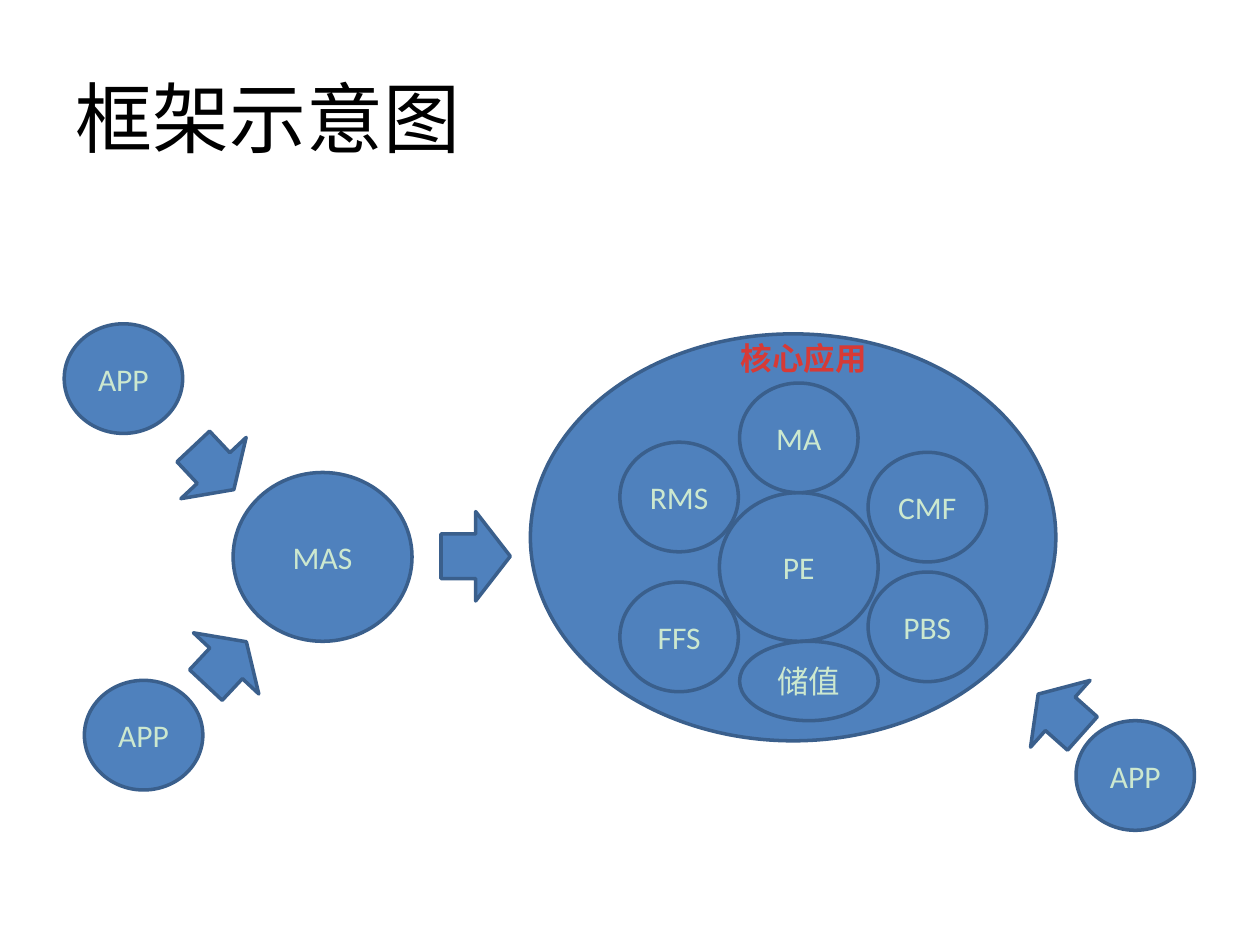
from pptx import Presentation
from pptx.dml.color import RGBColor
from pptx.enum.shapes import MSO_SHAPE as Shape
from pptx.enum.text import MSO_ANCHOR as Anchor, PP_ALIGN as Align
from pptx.util import Inches, Pt

BLUE = RGBColor(0x4F, 0x81, 0xBD)
DARK_BLUE = RGBColor(0x3A, 0x5F, 0x8C)
PALE_GREEN = RGBColor(0xCC, 0xE8, 0xCF)
RED = RGBColor(0xD7, 0x3A, 0x36)
BLACK = RGBColor(0, 0, 0)

LABEL = {"size": Pt(18), "name": "Calibri"}
TITLE = {"size": Pt(44), "name": "Calibri"}
HEADING = {"size": Pt(18), "name": "Calibri", "bold": True}

presentation = Presentation()
presentation.slide_width, presentation.slide_height = Inches(10), Inches(7.5)
slide = presentation.slides.add_slide(presentation.slide_layouts[6])


def write(shape, text, font_format, color, align=Align.CENTER, anchor=Anchor.MIDDLE):
    """Put one formatted paragraph into a shape."""
    frame = shape.text_frame
    frame.word_wrap = True
    frame.vertical_anchor = anchor
    paragraph = frame.paragraphs[0]
    paragraph.alignment = align
    run = paragraph.add_run()
    run.text = text
    for name, value in font_format.items():
        setattr(run.font, name, value)
    run.font.color.rgb = color


def add_blue(kind, left, top, width, height):
    """Add a blue shape with a dark outline."""
    shape = slide.shapes.add_shape(
        kind, Inches(left), Inches(top), Inches(width), Inches(height))
    shape.shadow.inherit = False
    shape.fill.solid()
    shape.fill.fore_color.rgb = BLUE
    shape.line.color.rgb = DARK_BLUE
    shape.line.width = Pt(2)
    return shape


title = slide.shapes.add_textbox(Inches(0.5), Inches(0.3), Inches(9), Inches(1.25))
write(title, "框架示意图", TITLE, BLACK, Align.LEFT)

# Core applications
add_blue(Shape.OVAL, 4.21, 2.65, 4.17, 3.23)
heading = slide.shapes.add_textbox(Inches(5.63), Inches(2.64), Inches(1.5), Inches(0.4))
write(heading, "核心应用", HEADING, RED, anchor=Anchor.TOP)

# Labelled ellipses
SMALL = (0.94, 0.87)
nodes = [
    ("PE", 5.71, 3.91, (1.26, 1.18)),
    ("CMF", 6.89, 3.59, SMALL),
    ("储值", 5.87, 5.09, (1.1, 0.63)),
    ("MA", 5.87, 3.04, SMALL),
    ("FFS", 4.92, 4.62, SMALL),
    ("PBS", 6.89, 4.54, SMALL),
    ("RMS", 4.92, 3.51, SMALL),
    ("MAS", 1.85, 3.75, (1.42, 1.34)),
    ("APP", 0.51, 2.57, SMALL),
    ("APP", 8.54, 5.72, SMALL),
    ("APP", 0.67, 5.4, SMALL),
]
for text, left, top, size in nodes:
    node = add_blue(Shape.OVAL, left, top, *size)
    node.text_frame.margin_left = node.text_frame.margin_right = 0
    write(node, text, LABEL, PALE_GREEN)

# Block arrows: left, top, width, rotation
arrows = [
    (1.46, 3.36, 0.47, 46.8),
    (1.56, 4.91, 0.47, 313.1),
    (3.5, 4.06, 0.55, 0),
    (8.18, 5.31, 0.47, 221.7),
]
for left, top, width, rotation in arrows:
    arrow = add_blue(Shape.RIGHT_ARROW, left, top, width, 0.71)
    arrow.rotation = rotation

presentation.save("out.pptx")
